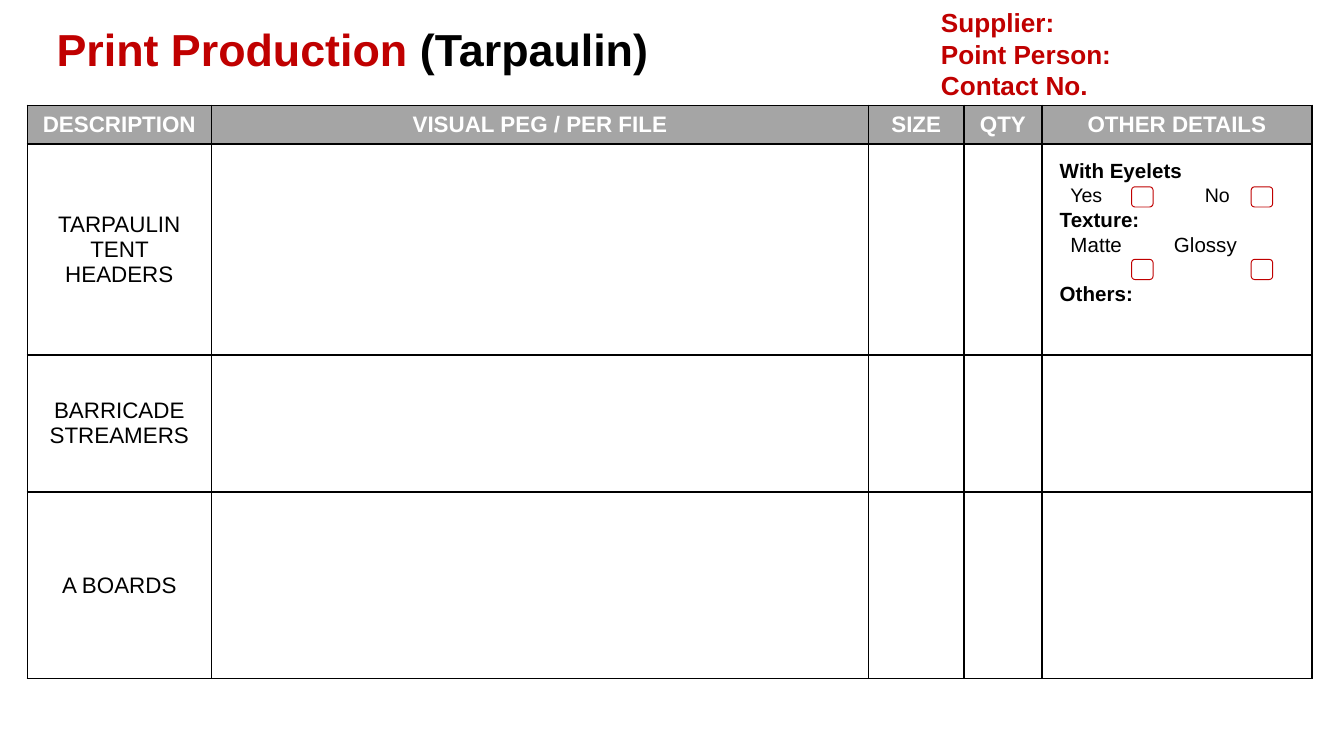
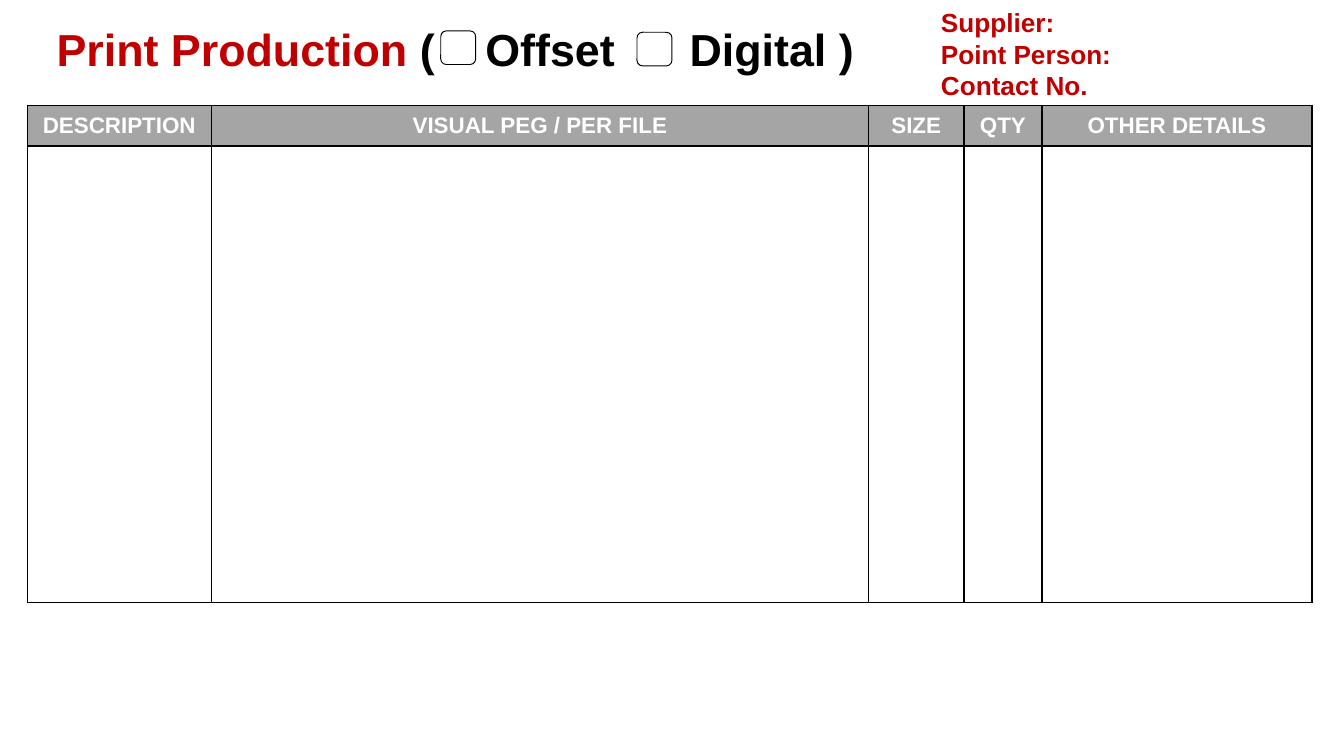
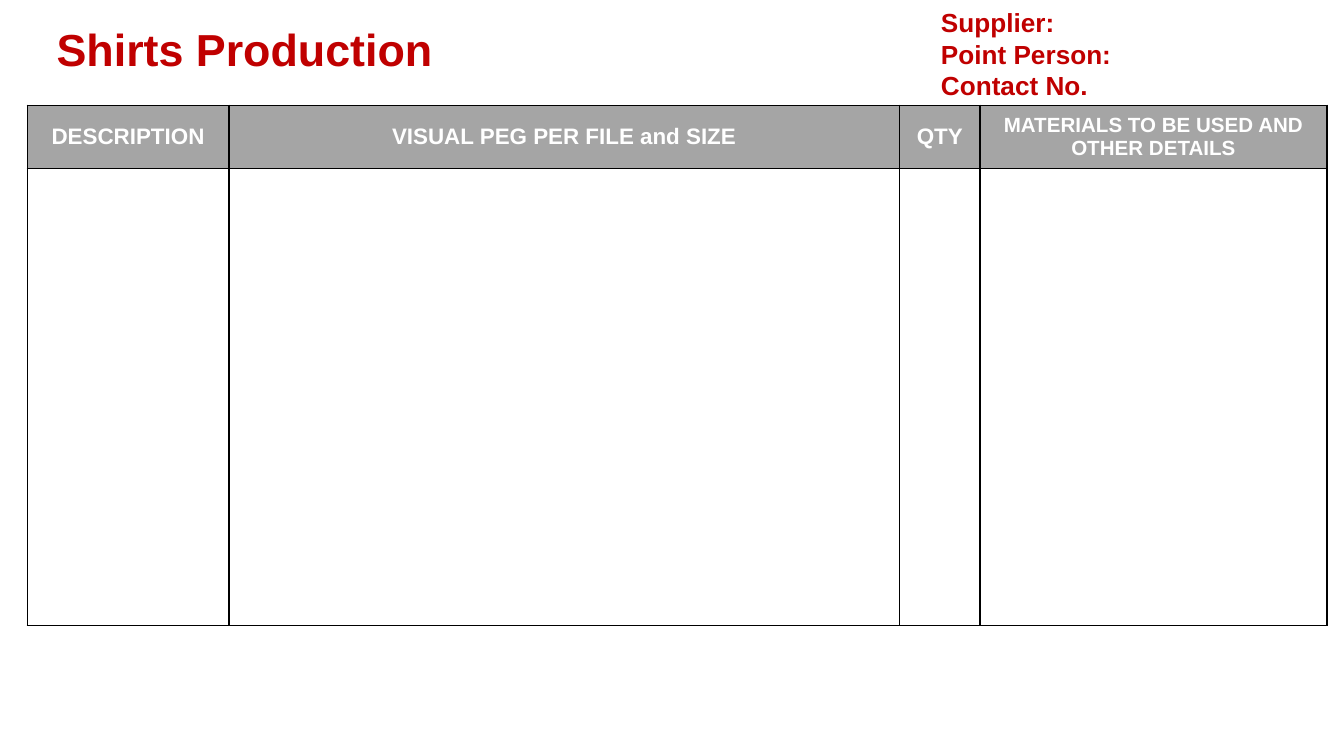
from lxml.etree import SubElement
from pptx import Presentation
from pptx.dml.color import RGBColor
from pptx.enum.shapes import MSO_SHAPE
from pptx.enum.text import MSO_ANCHOR, PP_ALIGN
from pptx.oxml.ns import qn
from pptx.util import Inches, Pt

# The slide is a grid of 100 columns; one row is as high as a column is wide.
GRID = Inches(10) // 100
COLUMNS, ROWS = 100, 56.25
RED, BLACK, WHITE, GREY = "C00000", "000000", "FFFFFF", "A5A5A5"
FONT = "Arial"
CONTACT_LINES = ["Supplier:", "Point Person:", "Contact No."]
HEADINGS = ["DESCRIPTION", "VISUAL PEG / PER FILE", "SIZE", "QTY", "OTHER DETAILS"]
WIDTHS = [13.7, 48.9, 7.1, 5.8, 20.1]
TABLE_LEFT, TABLE_TOP = 2.03, 7.84


def paint(color_format, value):
    """Set a fill, line or font colour from a hex string."""
    color_format.rgb = RGBColor.from_string(value)


def write_text(frame, lines, size=12, color=BLACK, bold=False, align=PP_ALIGN.LEFT):
    """Write one paragraph a line; a line is a string or (text, format) pairs."""
    frame.word_wrap = True
    for index, line in enumerate(lines):
        para = frame.paragraphs[0] if index == 0 else frame.add_paragraph()
        para.alignment = align
        pieces = [(line, {})] if isinstance(line, str) else line
        for text, own in pieces:
            look = {"size": size, "color": color, "bold": bold, **own}
            span = para.add_run()
            span.text = text
            span.font.name = FONT
            span.font.size = Pt(look["size"])
            span.font.bold = look["bold"]
            paint(span.font.color, look["color"])
            if "before" in look:
                para.space_before = Pt(look["before"])
            if "tabs" in look:
                tab_list = SubElement(para._p.get_or_add_pPr(), qn("a:tabLst"))
                for stop in look["tabs"]:
                    SubElement(tab_list, qn("a:tab"), pos=str(round(stop * GRID)), algn="l")


pages = [
    {
        "title": [("Print Production ", {}), ("(Tarpaulin) ", {"color": BLACK})],
        "title_width": 48.9,
        "headings": HEADINGS,
        "widths": WIDTHS,
        "heights": [2.85, 15.7, 10.2, 13.9],
        "descriptions": [["TARPAULIN", "TENT HEADERS"], ["BARRICADE STREAMERS"], ["A BOARDS"]],
        "details": [
            [("With Eyelets", {"bold": True})],
            [("\t", {"tabs": (0.8, 10.8)}), ("Yes\tNo", {"size": 10.5})],
            [("Texture:", {"bold": True})],
            [("\tMatte\tGlossy", {"tabs": (0.8, 8.5)})],
            [("Others:", {"bold": True, "before": 13})],
        ],
        "checkboxes": [(x, y, 1.6, 1.5) for y in (13.9, 19.3) for x in (84.2, 93.1)],
        "checkbox_color": RED,
    },
    {
        "title": [("Print Production ", {}),
                  ("(\tOffset\tDigital ) ", {"color": BLACK, "tabs": (31.9, 47.1)})],
        "title_width": 67.1,
        "headings": HEADINGS,
        "widths": WIDTHS,
        "heights": [3, 34],
        "checkboxes": [(32.8, 2.3, 2.6, 2.5), (47.4, 2.4, 2.6, 2.5)],
        "checkbox_color": BLACK,
    },
    {
        "title": [("Shirts Production", {})],
        "title_width": 67.1,
        "headings": ["DESCRIPTION", "VISUAL PEG PER FILE and SIZE", "QTY",
                     [("MATERIALS TO BE USED AND OTHER DETAILS", {"size": 11})]],
        "widths": [15, 49.9, 6, 25.8],
        "heights": [4.7, 34],
    },
]

deck = Presentation()
deck.slide_width = COLUMNS * GRID
deck.slide_height = round(ROWS * GRID)

for content in pages:
    page = deck.slides.add_slide(deck.slide_layouts[6])

    # Order table
    widths, heights = content["widths"], content["heights"]
    area = [round(v * GRID) for v in (TABLE_LEFT, TABLE_TOP, sum(widths), sum(heights))]
    table = page.shapes.add_table(len(heights), len(widths), *area).table
    table.horz_banding = False
    for column, width in zip(table.columns, widths):
        column.width = round(width * GRID)
    for row, height in zip(table.rows, heights):
        row.height = round(height * GRID)
    for cell in table.iter_cells():
        cell.vertical_anchor = MSO_ANCHOR.MIDDLE
        for side in ("lnL", "lnR", "lnT", "lnB"):
            border = SubElement(cell._tc.get_or_add_tcPr(), qn(f"a:{side}"), w=str(Pt(1)))
            SubElement(SubElement(border, qn("a:solidFill")), qn("a:srgbClr"), val=BLACK)
        cell.fill.background()
    for index, heading in enumerate(content["headings"]):
        cell = table.cell(0, index)
        cell.fill.solid()
        paint(cell.fill.fore_color, GREY)
        write_text(cell.text_frame, [heading], color=WHITE, bold=True, align=PP_ALIGN.CENTER)
    for index, lines in enumerate(content.get("descriptions", []), start=1):
        write_text(table.cell(index, 0).text_frame, lines, align=PP_ALIGN.CENTER)

    # Title, contact block and details
    texts = [
        ((3.23, 1.1, content["title_width"], 5), [content["title"]],
         {"size": 24, "color": RED, "bold": True}),
        ((69.03, 0, 28.3, 8.1), CONTACT_LINES, {"size": 14, "color": RED, "bold": True}),
    ]
    if "details" in content:
        texts.append(((77.87, 11.25, 19.4, 14), content["details"], {"size": 11}))
    for area, lines, look in texts:
        box = page.shapes.add_textbox(*[round(v * GRID) for v in area])
        write_text(box.text_frame, lines, **look)

    # Checkboxes
    for area in content.get("checkboxes", []):
        checkbox = page.shapes.add_shape(MSO_SHAPE.ROUNDED_RECTANGLE,
                                         *[round(v * GRID) for v in area])
        checkbox.shadow.inherit = False
        checkbox.fill.background()
        checkbox.line.width = Pt(0.5)
        paint(checkbox.line.color, content["checkbox_color"])

deck.save("out.pptx")
